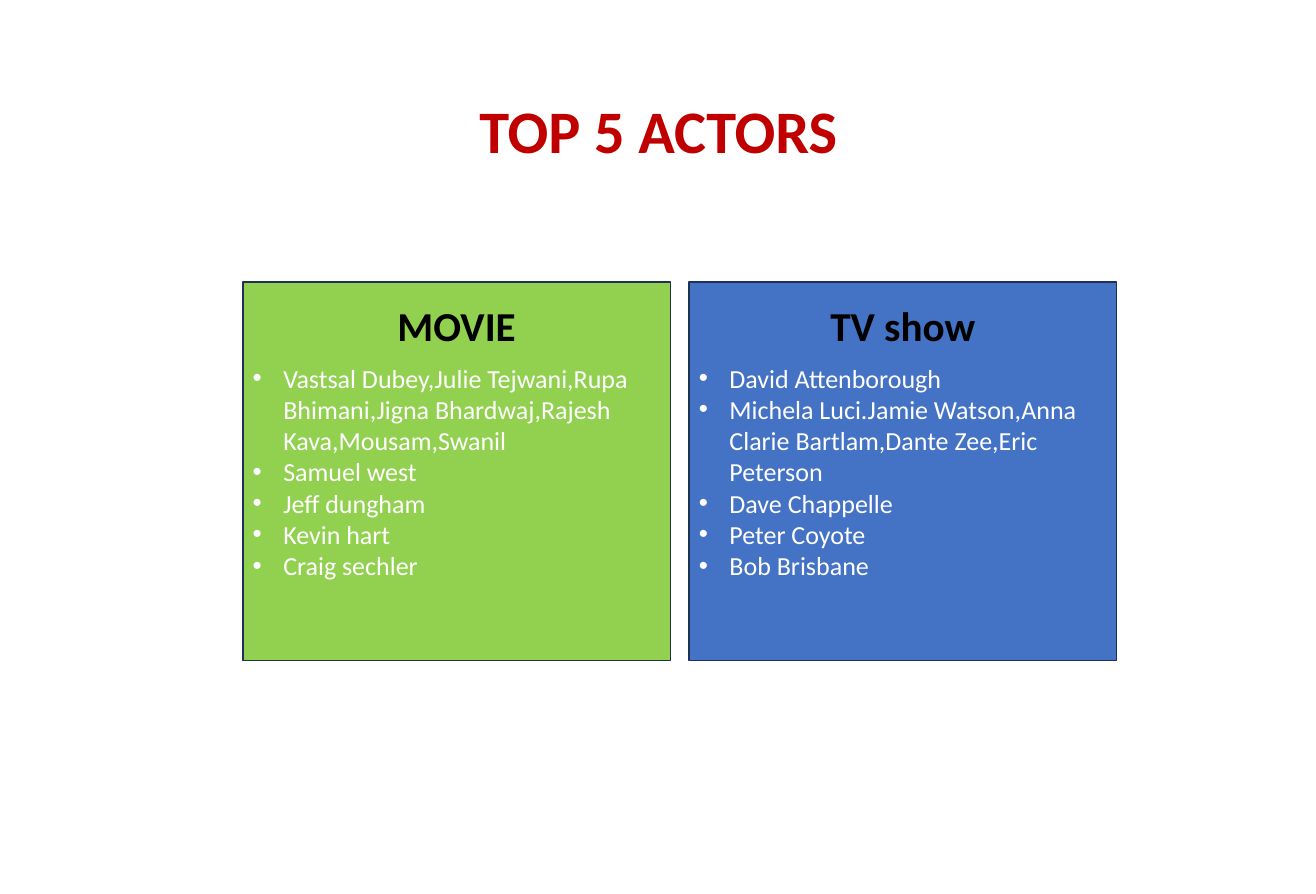
"""Build a slide that lists the top five actors in movies and in TV shows."""
import pptx
import pptx.dml.color
import pptx.enum.shapes
import pptx.enum.text
import pptx.oxml
import pptx.util

Cm = pptx.util.Cm
Pt = pptx.util.Pt
RGBColor = pptx.dml.color.RGBColor
ALIGN = pptx.enum.text.PP_ALIGN

RED = RGBColor(0xC0, 0x00, 0x00)
GREEN = RGBColor(0x92, 0xD0, 0x50)
BLUE = RGBColor(0x44, 0x72, 0xC4)
NAVY = RGBColor(0x1E, 0x32, 0x56)
BLACK = RGBColor(0x00, 0x00, 0x00)
WHITE = RGBColor(0xFF, 0xFF, 0xFF)

TITLE = "TOP 5 ACTORS"
PANELS = [
    ("MOVIE", GREEN, [
        "Vastsal Dubey,Julie Tejwani,Rupa Bhimani,Jigna Bhardwaj,Rajesh Kava,Mousam,Swanil",
        "Samuel west",
        "Jeff dungham",
        "Kevin hart",
        "Craig sechler",
    ]),
    ("TV show", BLUE, [
        "David Attenborough",
        "Michela Luci.Jamie Watson,Anna Clarie Bartlam,Dante Zee,Eric Peterson",
        "Dave Chappelle",
        "Peter Coyote",
        "Bob Brisbane",
    ]),
]

PANEL_LEFT, PANEL_TOP = Cm(6.25), Cm(7.26)
PANEL_WIDTH, PANEL_HEIGHT = Cm(11), Cm(9.75)
PANEL_STEP = Cm(11.48)
HEADING_WIDTH, HEADING_HEIGHT = Cm(6.05), Cm(1.37)
HEADING_DROP = Cm(0.43)
INDENT = Cm(0.79)


def write(box, lines, size, color, bold=False, align=ALIGN.CENTER):
    frame = box.text_frame
    frame.word_wrap = True
    frame.vertical_anchor = pptx.enum.text.MSO_ANCHOR.MIDDLE
    frame.text = "\n".join(lines)
    for para in frame.paragraphs:
        para.alignment = align
        for span in para.runs:
            span.font.name = "Calibri"
            span.font.size = Pt(size)
            span.font.bold = bold
            span.font.color.rgb = color


def add_bullets(box):
    for para in box.text_frame.paragraphs:
        properties = para._p.get_or_add_pPr()
        properties.set("marL", str(INDENT))
        properties.set("indent", str(-INDENT))
        font = pptx.oxml.parse_xml(
            '<a:buFont xmlns:a="http://schemas.openxmlformats.org/drawingml/2006/main" typeface="Arial"/>')
        bullet = pptx.oxml.parse_xml(
            '<a:buChar xmlns:a="http://schemas.openxmlformats.org/drawingml/2006/main" char="•"/>')
        properties.extend([font, bullet])


def add_rectangle(page, left, top, width, height, fill):
    box = page.shapes.add_shape(
        pptx.enum.shapes.MSO_SHAPE.RECTANGLE, left, top, width, height)
    box.shadow.inherit = False
    box.fill.solid()
    box.fill.fore_color.rgb = fill
    box.line.fill.background()
    return box


def main():
    deck = pptx.Presentation()
    deck.slide_width, deck.slide_height = Cm(33.86), Cm(23.01)
    page = deck.slides.add_slide(deck.slide_layouts[6])

    title = page.shapes.add_textbox(Cm(2.34), Cm(1.22), Cm(29.21), Cm(4.45))
    write(title, [TITLE], 44, RED, bold=True)
    title.text_frame.paragraphs[0].line_spacing = 0.9

    for index, (heading, fill, actors) in enumerate(PANELS):
        left = PANEL_LEFT + index * PANEL_STEP
        panel = add_rectangle(page, left, PANEL_TOP, PANEL_WIDTH, PANEL_HEIGHT, fill)
        panel.line.color.rgb = NAVY
        panel.line.width = Pt(1)
        write(panel, actors, 19, WHITE, align=ALIGN.LEFT)
        add_bullets(panel)

        label = add_rectangle(
            page, left + (PANEL_WIDTH - HEADING_WIDTH) // 2, PANEL_TOP + HEADING_DROP,
            HEADING_WIDTH, HEADING_HEIGHT, fill)
        write(label, [heading], 30, BLACK, bold=True)

    deck.save("out.pptx")


if __name__ == "__main__":
    main()
